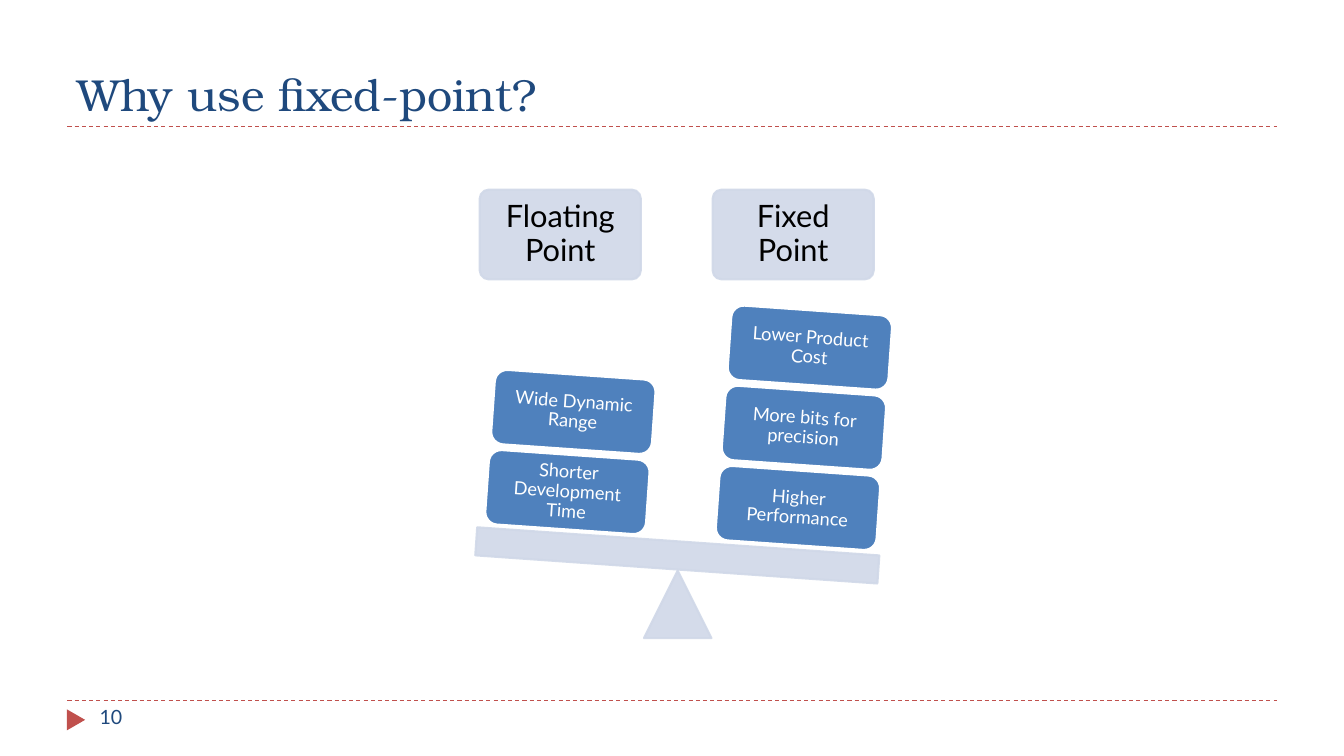
from dataclasses import dataclass

from lxml import etree
from pptx import Presentation
from pptx.dml.color import RGBColor
from pptx.enum.dml import MSO_LINE
from pptx.enum.shapes import MSO_CONNECTOR, MSO_SHAPE
from pptx.enum.text import MSO_ANCHOR, PP_ALIGN
from pptx.oxml.ns import qn
from pptx.util import Cm, Pt


@dataclass(frozen=True)
class Theme:
    navy: str = "1F497D"
    red: str = "C0504D"
    blue: str = "4F81BD"
    pale: str = "D0D8E8"
    white: str = "FFFFFF"
    black: str = "000000"
    pale_opacity: int = 90
    heading_font: str = "TeX Gyre Bonum"
    body_font: str = "Lato"
    title_size: int = 32
    header_size: int = 22
    number_size: int = 14
    block_size: int = 13
    rule_width: float = 0.75
    outline_width: float = 1.5


THEME = Theme()
LEFT, RIGHT = 1.7, 32.18
TITLE_RULE, FOOTER_RULE = 3.18, 17.65
TILT = 4
COLUMN_WIDTH = 4.06
HEADER_TOP, HEADER_HEIGHT = 4.78, 2.26
BLOCK_HEIGHT = 1.88
STACK_STEP_X, STACK_STEP_Y = 0.15, -2.02
SIDES = [
    ("Floating Point", 12.09, (12.27, 11.46),
     ["Shorter Development Time", "Wide Dynamic Range"]),
    ("Fixed Point", 17.96, (18.08, 11.86),
     ["Higher Performance", "More bits for precision", "Lower Product Cost"]),
]


def set_opacity(fill, percent):
    color = fill._xPr.find(qn("a:solidFill"))[0]
    etree.SubElement(color, qn("a:alpha"), val=str(percent * 1000))


def write(frame, text, size, color, font=THEME.body_font, anchor=MSO_ANCHOR.TOP):
    frame.word_wrap = True
    frame.vertical_anchor = anchor
    run = frame.paragraphs[0].add_run()
    run.text = text
    run.font.name = font
    run.font.size = Pt(size)
    run.font.color.rgb = RGBColor.from_string(color)


def write_centred(shape, text, size, color, inset):
    frame = shape.text_frame
    frame.margin_left = frame.margin_right = Cm(inset)
    frame.margin_top = frame.margin_bottom = Cm(inset)
    write(frame, text, size, color, anchor=MSO_ANCHOR.MIDDLE)
    frame.paragraphs[0].alignment = PP_ALIGN.CENTER
    frame.paragraphs[0].line_spacing = 0.9


def add_text(shapes, box, *args, **kwargs):
    write(shapes.add_textbox(*map(Cm, box)).text_frame, *args, **kwargs)


def add_rule(shapes, y):
    rule = shapes.add_connector(
        MSO_CONNECTOR.STRAIGHT, Cm(LEFT), Cm(y), Cm(RIGHT), Cm(y))
    rule.line.color.rgb = RGBColor.from_string(THEME.red)
    rule.line.width = Pt(THEME.rule_width)
    rule.line.dash_style = MSO_LINE.DASH
    etree.SubElement(rule._element.spPr, qn("a:effectLst"))


def add_solid(shapes, kind, box, fill, outline=None, rotation=0):
    shape = shapes.add_shape(kind, *map(Cm, box))
    shape.shadow.inherit = False
    shape.rotation = rotation
    shape.fill.solid()
    shape.fill.fore_color.rgb = RGBColor.from_string(fill)
    if outline:
        shape.line.color.rgb = RGBColor.from_string(outline)
        shape.line.width = Pt(THEME.outline_width)
    else:
        shape.line.fill.background()
    return shape


def add_pale(shapes, kind, box, rotation=0):
    shape = add_solid(shapes, kind, box, THEME.pale, THEME.pale, rotation)
    set_opacity(shape.fill, THEME.pale_opacity)
    set_opacity(shape.line.fill, THEME.pale_opacity)
    return shape


def add_header(shapes, text, left):
    box = (left, HEADER_TOP, COLUMN_WIDTH, HEADER_HEIGHT)
    header = add_pale(shapes, MSO_SHAPE.ROUNDED_RECTANGLE, box)
    header.adjustments[0] = 0.1
    write_centred(header, text, THEME.header_size, THEME.black, 0.23)


def add_stack(shapes, base, texts):
    left, top = base
    for level, text in enumerate(texts):
        box = (left + level * STACK_STEP_X, top + level * STACK_STEP_Y,
               COLUMN_WIDTH, BLOCK_HEIGHT)
        block = add_solid(shapes, MSO_SHAPE.ROUNDED_RECTANGLE, box,
                          THEME.blue, THEME.white, TILT)
        write_centred(block, text, THEME.block_size, THEME.white, 0.13)


def add_balance(shapes):
    for header, left, _, _ in SIDES:
        add_header(shapes, header, left)
    add_pale(shapes, MSO_SHAPE.ISOSCELES_TRIANGLE, (16.23, 14.38, 1.7, 1.7))
    add_pale(shapes, MSO_SHAPE.RECTANGLE, (11.99, 13.64, 10.16, 0.71), TILT)
    for _, _, base, texts in reversed(SIDES):
        add_stack(shapes, base, texts)


def main():
    prs = Presentation()
    prs.slide_width, prs.slide_height = Cm(33.87), Cm(19.05)
    shapes = prs.slides.add_slide(prs.slide_layouts[6]).shapes

    for y in (FOOTER_RULE, TITLE_RULE):
        add_rule(shapes, y)
    add_solid(shapes, MSO_SHAPE.ISOSCELES_TRIANGLE, (1.65, 17.91, 0.53, 0.46),
              THEME.red, rotation=90)
    add_text(shapes, (LEFT, 0.43, RIGHT - LEFT, 2.74), "Why use fixed-point?",
             THEME.title_size, THEME.navy, THEME.heading_font, MSO_ANCHOR.BOTTOM)
    add_text(shapes, (2.26, FOOTER_RULE, 7.34, 1.02), "10",
             THEME.number_size, THEME.navy)
    add_balance(shapes.add_group_shape().shapes)
    prs.save("out.pptx")


main()
